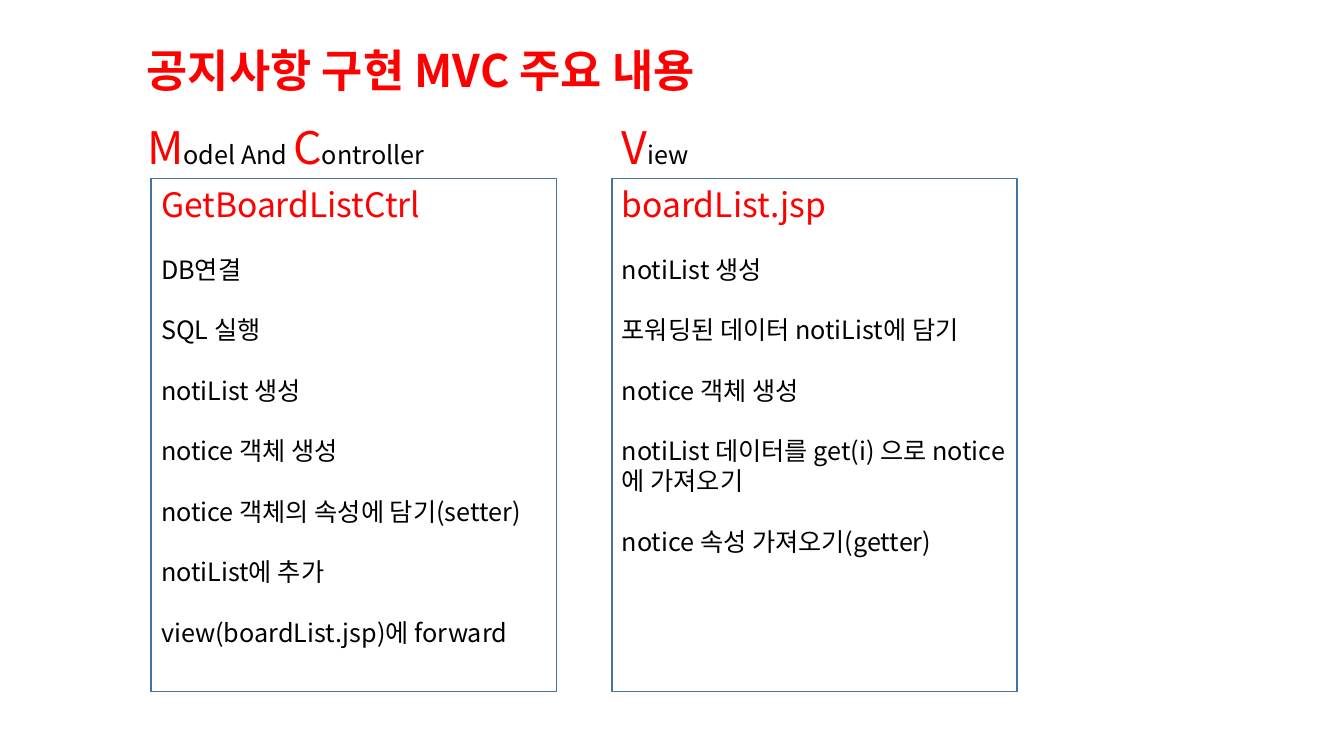
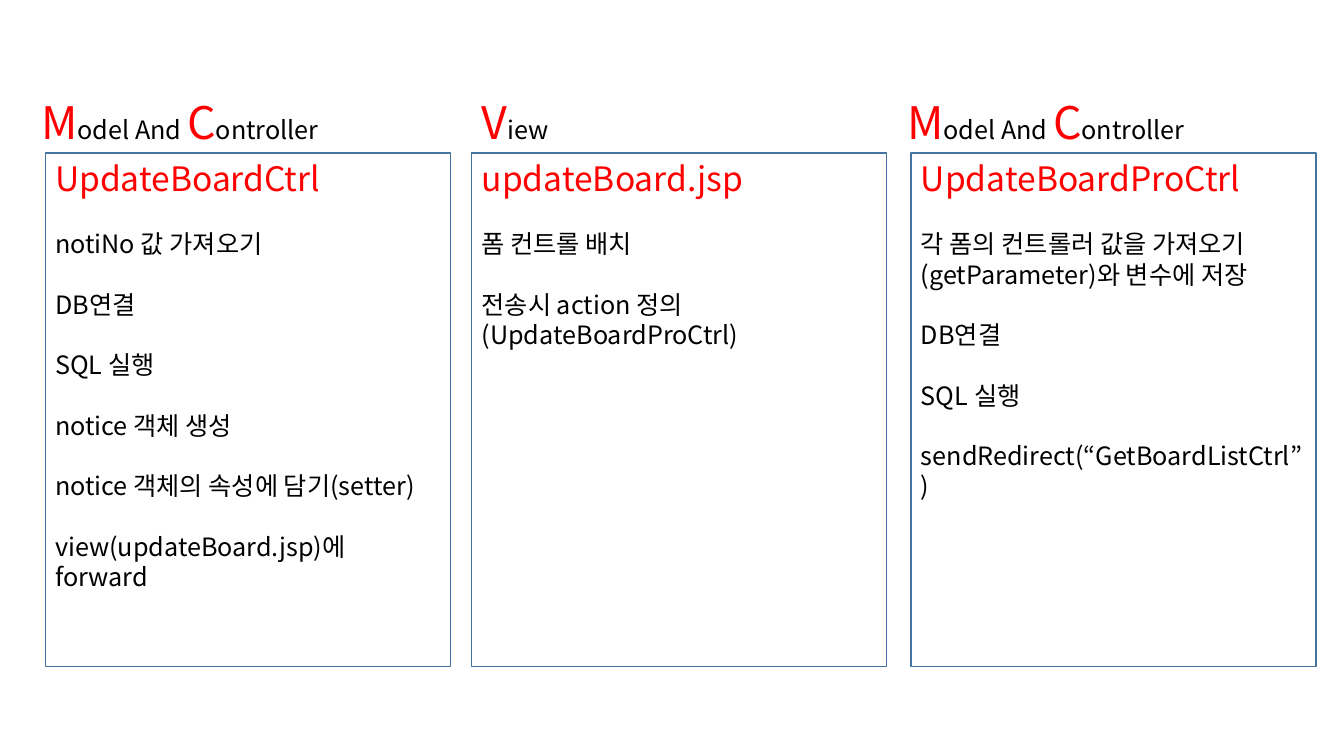
import pptx
import pptx.dml.color
import pptx.enum.shapes
import pptx.enum.text
import pptx.oxml.ns
import pptx.util
from lxml import etree
from pptx.util import Cm

RED = pptx.dml.color.RGBColor(0xFF, 0x00, 0x00)
BLACK = pptx.dml.color.RGBColor(0x00, 0x00, 0x00)
BORDER = pptx.dml.color.RGBColor(0x43, 0x73, 0x9E)
FONT = "Noto Sans CJK KR"
TITLE_SIZE, HEADING_SIZE, BODY_SIZE = 32, 24, 18
STEP_GAP = pptx.util.Pt(21.6)
BOX_WIDTH, BOX_HEIGHT = 10.21, 12.93
LABEL_HEIGHT, LABEL_RISE = 1.63, 1.6

MODEL_CONTROLLER = ("M", "odel And ", "C", "ontroller")
VIEW = ("V", "iew")
LABEL_LAYOUT = {MODEL_CONTROLLER: (-0.35, 7.65), VIEW: (0, 2.21)}

LIST_COLUMNS = [
    (3.81, BOX_WIDTH, MODEL_CONTROLLER, "GetBoardListCtrl", [
        "DB연결", "SQL 실행", "notiList 생성", "notice 객체 생성",
        "notice 객체의 속성에 담기(setter)", "notiList에 추가",
        "view(boardList.jsp)에 forward"]),
    (15.42, BOX_WIDTH, VIEW, "boardList.jsp", [
        "notiList 생성", "포워딩된 데이터 notiList에 담기", "notice 객체 생성",
        "notiList 데이터를 get(i) 으로 notice에 가져오기",
        "notice 속성 가져오기(getter)"]),
]
UPDATE_COLUMNS = [
    (1.14, BOX_WIDTH, MODEL_CONTROLLER, "UpdateBoardCtrl", [
        "notiNo 값 가져오기", "DB연결", "SQL 실행", "notice 객체 생성",
        "notice 객체의 속성에 담기(setter)", "view(updateBoard.jsp)에 forward"]),
    (11.89, 10.46, VIEW, "updateBoard.jsp", [
        "폼 컨트롤 배치", "전송시 action 정의\n(UpdateBoardProCtrl)"]),
    (22.96, BOX_WIDTH, MODEL_CONTROLLER, "UpdateBoardProCtrl", [
        "각 폼의 컨트롤러 값을 가져오기\n(getParameter)와 변수에 저장",
        "DB연결", "SQL 실행", "sendRedirect(“GetBoardListCtrl”)"]),
]


def add_run(paragraph, text, size, color, bold=False):
    paragraph.alignment = pptx.enum.text.PP_ALIGN.LEFT
    run = paragraph.add_run()
    run.text = text
    run.font.name = FONT
    run.font.size = pptx.util.Pt(size)
    run.font.bold = bold
    run.font.color.rgb = color
    latin = run.font._element.find(pptx.oxml.ns.qn("a:latin"))
    east_asian = etree.Element(pptx.oxml.ns.qn("a:ea"), typeface=FONT)
    latin.addnext(east_asian)


def add_text_box(slide, left, top, width, wrap):
    text_box = slide.shapes.add_textbox(Cm(left), Cm(top), Cm(width), Cm(LABEL_HEIGHT))
    frame = text_box.text_frame
    frame.word_wrap = wrap
    frame.auto_size = pptx.enum.text.MSO_AUTO_SIZE.SHAPE_TO_FIT_TEXT
    return frame.paragraphs[0]


def add_title(slide, text):
    paragraph = add_text_box(slide, 3.45, 0.94, 20.3, True)
    add_run(paragraph, text, TITLE_SIZE, RED, bold=True)


def add_label(slide, box_left, box_top, parts):
    offset, width = LABEL_LAYOUT[parts]
    paragraph = add_text_box(slide, box_left + offset, box_top - LABEL_RISE, width, False)
    for index, part in enumerate(parts):
        size, color = (BODY_SIZE, BLACK) if index % 2 else (TITLE_SIZE, RED)
        add_run(paragraph, part, size, color)


def add_step_box(slide, left, top, width, heading, steps):
    shape = slide.shapes.add_shape(
        pptx.enum.shapes.MSO_SHAPE.RECTANGLE, Cm(left), Cm(top), Cm(width), Cm(BOX_HEIGHT))
    shape.shadow.inherit = False
    shape.fill.background()
    shape.line.color.rgb = BORDER
    shape.line.width = pptx.util.Pt(1)
    frame = shape.text_frame
    frame.word_wrap = True
    frame.vertical_anchor = pptx.enum.text.MSO_ANCHOR.TOP
    add_run(frame.paragraphs[0], heading, HEADING_SIZE, RED)
    for step in steps:
        for index, line in enumerate(step.split("\n")):
            paragraph = frame.add_paragraph()
            if index == 0:
                paragraph.space_before = STEP_GAP
            add_run(paragraph, line, BODY_SIZE, BLACK)


def add_columns_slide(presentation, top, columns):
    slide = presentation.slides.add_slide(presentation.slide_layouts[6])
    for left, width, label, heading, steps in columns:
        add_step_box(slide, left, top, width, heading, steps)
        add_label(slide, left, top, label)
    return slide


def main():
    presentation = pptx.Presentation()
    presentation.slide_width = Cm(33.87)
    presentation.slide_height = Cm(19.05)
    list_slide = add_columns_slide(presentation, 4.5, LIST_COLUMNS)
    add_title(list_slide, "공지사항 구현 MVC 주요 내용")
    add_columns_slide(presentation, 3.86, UPDATE_COLUMNS)
    presentation.save("out.pptx")


if __name__ == "__main__":
    main()
